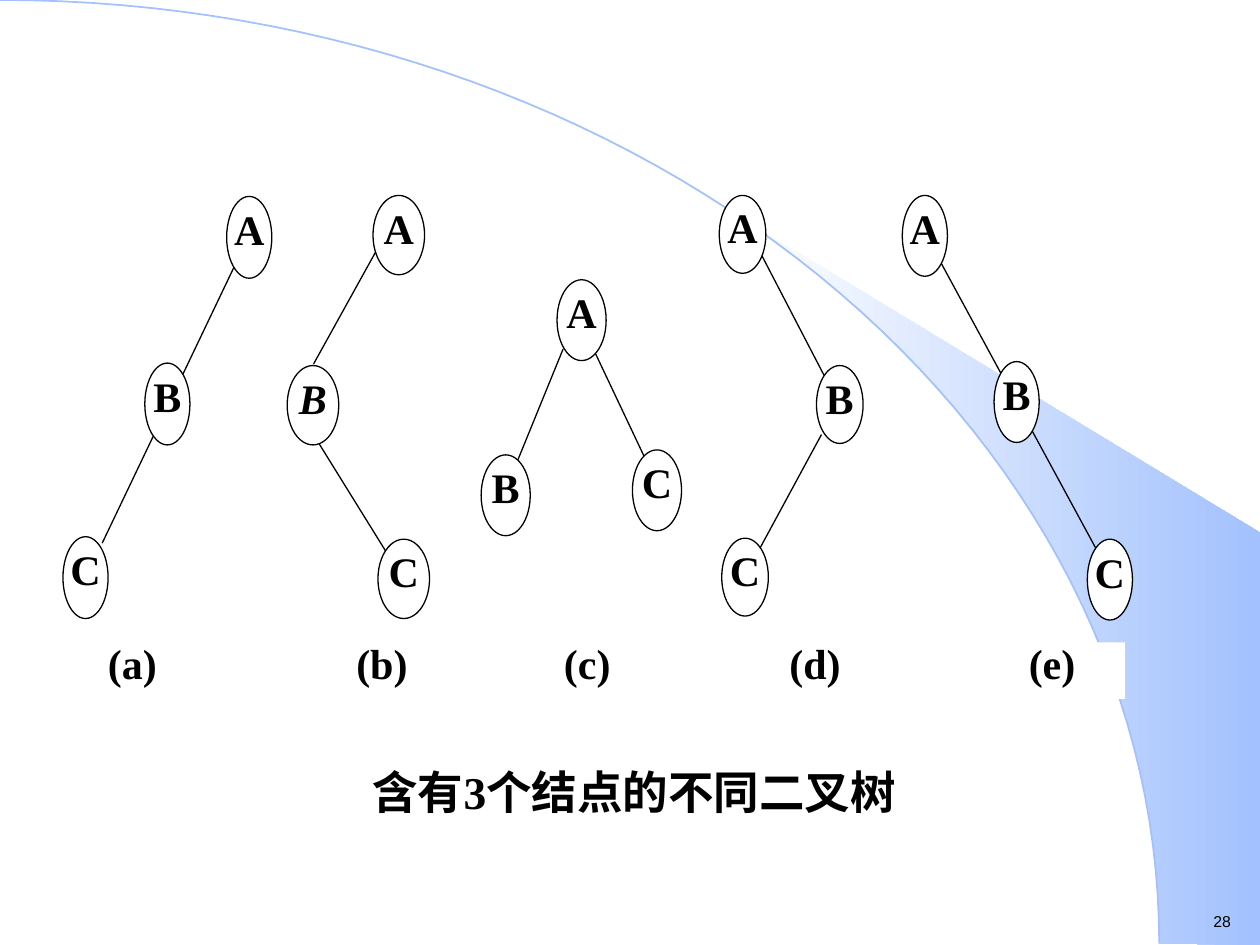
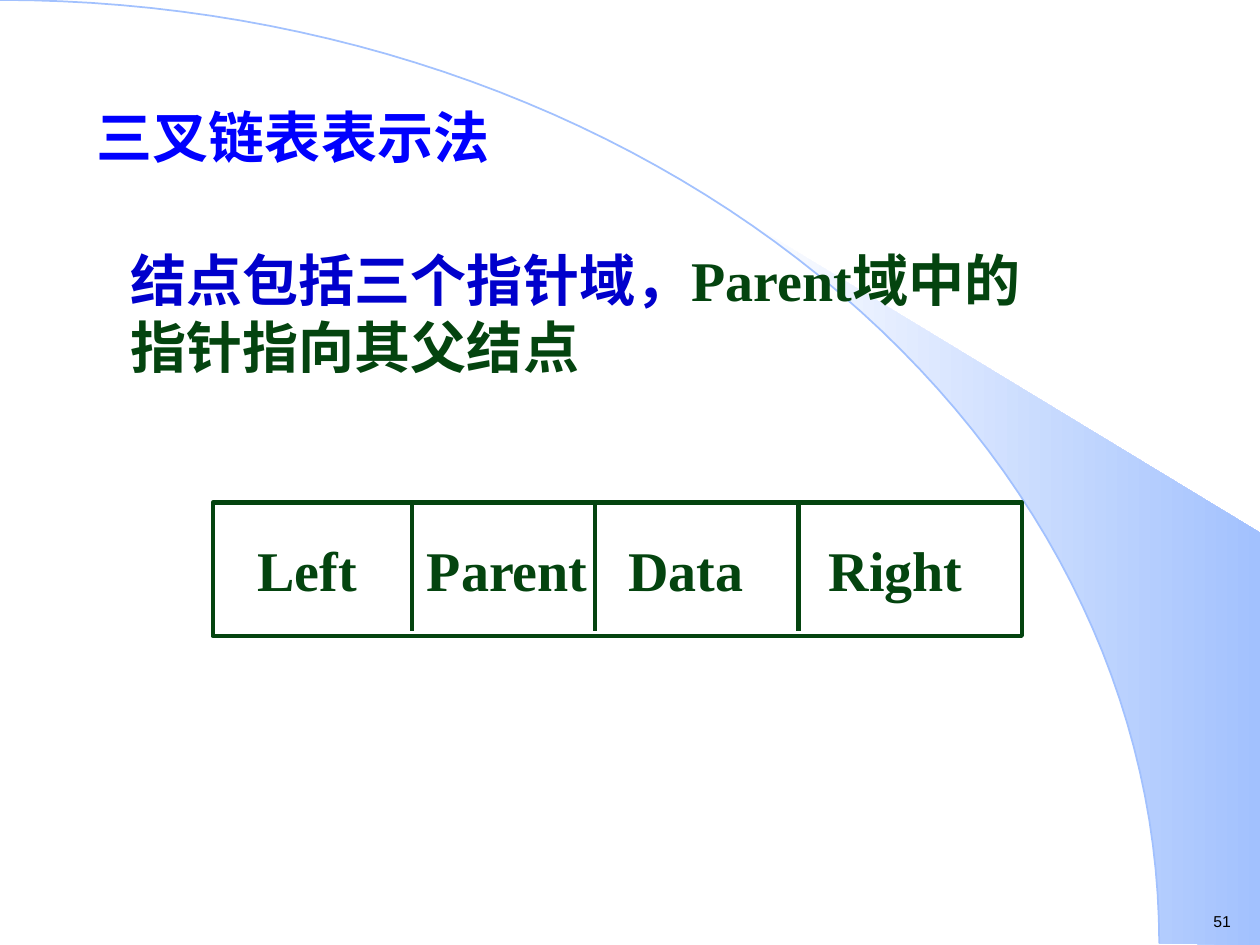
from math import asin, cos, pi, sin

from lxml import etree
from pptx import Presentation
from pptx.dml.color import RGBColor
from pptx.enum import shapes, text
from pptx.oxml import ns
from pptx.util import Cm, Pt

COLORS = {
    "ink": "000000",
    "paper": "FFFFFF",
    "sky": "A2C1FE",
    "title": "0000FF",
    "blue": "0000CC",
    "green": "04440F",
}
SERIF, SANS = "Times New Roman", "Arial"
WIDTH, HEIGHT = 25.4, 19.05
ARC_WIDTH, ARC_HEIGHT = 23.37, 19.02
FIN_TIP = 14.96
TITLE_ONLY, BLANK = 5, 6

# Node size, node corners by letter, and edge end points, in centimetres
TREES = [
    ((0.91, 1.65), {"A": (4.57, 3.96), "B": (2.92, 7.32), "C": (1.27, 10.82)},
     [(2.06, 10.95, 4.72, 5.38)]),
    ((1.04, 1.6), {"A": (7.52, 3.94), "B": (5.79, 7.37), "C": (7.62, 10.87)},
     [(7.7, 4.85, 6.32, 7.34), (6.38, 8.86, 7.8, 11.15)]),
    ((0.99, 1.63), {"A": (11.23, 5.64), "B": (9.7, 9.17), "C": (12.75, 9.07)},
     [(11.35, 7.04, 10.44, 9.27), (12.01, 7.14, 12.98, 9.19)]),
    ((0.94, 1.57), {"A": (14.5, 3.94), "B": (16.46, 7.37), "C": (14.55, 10.85)},
     [(15.32, 5.08, 16.64, 7.62), (16.56, 8.76, 15.32, 11.05)]),
    ((0.91, 1.63), {"A": (18.19, 3.94), "B": (20.04, 7.29), "C": (21.92, 10.87)},
     [(18.59, 4.6, 22.1, 11.07)]),
]
ITALIC_NODE = (1, "B")


def color(name):
    return RGBColor.from_string(COLORS[name])


def arc_points(start, steps=60):
    """Points of the quarter ellipse from angle start down to its right end."""
    angles = [start + (pi / 2 - start) * step / steps for step in range(steps + 1)]
    return [(Cm(ARC_WIDTH * sin(angle)), Cm(ARC_HEIGHT * (1 - cos(angle))))
            for angle in angles]


class Builder:
    def __init__(self):
        self.deck = Presentation()
        self.deck.slide_width, self.deck.slide_height = Cm(WIDTH), Cm(HEIGHT)
        self.page = None

    def new_page(self, layout, number):
        self.page = self.deck.slides.add_slide(self.deck.slide_layouts[layout])
        self.backdrop()
        box = self.text_box((24.21, 18.26, 0.89, 0.64), wrap=False)
        self.span(box.text_frame.paragraphs[0], str(number), 9, font=SANS, bold=False)

    def outline(self, points, close):
        builder = self.page.shapes.build_freeform(*points[0], scale=1.0)
        builder.add_line_segments(points[1:], close=close)
        shape = builder.convert_to_shape()
        shape.shadow.inherit = False
        return shape

    def backdrop(self):
        corners = [(Cm(WIDTH), Cm(HEIGHT)), (Cm(WIDTH), Cm(10.74))]
        fin = self.outline(corners + arc_points(asin(FIN_TIP / ARC_WIDTH)), True)
        fin.line.fill.background()
        fin.fill.gradient()
        fin.fill.gradient_angle = 0
        for stop, position, name in zip(fin.fill.gradient_stops, (0, 1), ("paper", "sky")):
            stop.position = position
            stop.color.rgb = color(name)
        arc = self.outline(arc_points(0), False)
        arc.fill.background()
        arc.line.color.rgb = color("sky")
        arc.line.width = Pt(1)

    def span(self, para, words, size, name="ink", font=SERIF, bold=True, italic=False):
        span = para.add_run()
        span.text = words
        span.font.name, span.font.size = font, Pt(size)
        span.font.bold, span.font.italic = bold, italic
        span.font.color.rgb = color(name)

    def text_box(self, area, wrap=True):
        box = self.page.shapes.add_textbox(*map(Cm, area))
        box.text_frame.word_wrap = wrap
        return box

    def title(self, words, area):
        box = self.page.shapes.title
        box.left, box.top, box.width, box.height = map(Cm, area)
        frame = box.text_frame
        frame.auto_size = text.MSO_AUTO_SIZE.NONE
        frame.vertical_anchor = text.MSO_ANCHOR.TOP
        para = frame.paragraphs[0]
        para.alignment = text.PP_ALIGN.LEFT
        self.span(para, words, 32, "title")

    def line(self, ends, name="ink", width=0.75):
        line = self.page.shapes.add_connector(shapes.MSO_CONNECTOR.STRAIGHT, *map(Cm, ends))
        line.line.color.rgb = color(name)
        line.line.width = Pt(width)
        etree.SubElement(line._element.spPr, ns.qn("a:effectLst"))

    def panel(self, area, kind=shapes.MSO_SHAPE.RECTANGLE, line=None, width=0.75, top=0.1):
        """White shape without side margins; returns its first paragraph."""
        shape = self.page.shapes.add_shape(kind, *map(Cm, area))
        shape.shadow.inherit = False
        shape.fill.solid()
        shape.fill.fore_color.rgb = color("paper")
        if line:
            shape.line.color.rgb = color(line)
            shape.line.width = Pt(width)
        else:
            shape.line.fill.background()
        frame = shape.text_frame
        frame.margin_left = frame.margin_right = frame.margin_bottom = 0
        frame.margin_top = Cm(top)
        frame.word_wrap = False
        frame.vertical_anchor = text.MSO_ANCHOR.TOP if top else text.MSO_ANCHOR.MIDDLE
        para = frame.paragraphs[0]
        para.alignment = text.PP_ALIGN.CENTER
        if top:
            para.line_spacing = 0.8
        return para

    def tabbed(self, area, labels, centres, size, name="ink", **style):
        """Panel whose labels are centred on tab stops."""
        para = self.panel(area, **style)
        para.alignment = text.PP_ALIGN.LEFT
        para._p.getparent().bodyPr.set("wrap", "square")
        stops = etree.SubElement(para._p.get_or_add_pPr(), ns.qn("a:tabLst"))
        for centre in centres:
            etree.SubElement(stops, ns.qn("a:tab"), pos=str(Cm(centre)), algn="ctr")
        for label in labels:
            self.span(para, "\t" + label, size, name)

    def tree(self, index, size, nodes, edges):
        for ends in edges:
            self.line(ends)
        for letter, corner in nodes.items():
            para = self.panel(corner + size, shapes.MSO_SHAPE.OVAL, "ink")
            self.span(para, letter, 24, italic=(index, letter) == ITALIC_NODE)


def binary_trees(builder):
    builder.new_page(BLANK, 28)
    builder.tabbed((0.89, 12.95, 21.79, 1.14), [f"({letter})" for letter in "abcde"],
                   (1.78, 6.81, 10.95, 15.54, 20.32), 24)
    for index, tree in enumerate(TREES):
        builder.tree(index, *tree)
    caption = builder.panel((6.3, 15.52, 12.98, 1.3))
    builder.span(caption, "含有3个结点的不同二叉树", 26)


def linked_node(builder):
    builder.new_page(TITLE_ONLY, 51)
    builder.title("三叉链表表示法", (1.7, 1.93, 19.74, 1.7))
    left, top, width, height = 4.29, 10.13, 16.31, 2.69
    builder.tabbed((left, top, width, height), ("Left", "Parent", "Data", "Right"),
                   (1.9, 5.94, 9.54, 13.77), 32, "green", line="green", width=2.5, top=0)
    for x in (8.31, 11.99, 16.1):
        builder.line((x, top, x, top + 2.6), "green", 2.5)
    para = builder.text_box((2.39, 4.83, 18.69, 2.97)).text_frame.paragraphs[0]
    builder.span(para, "结点包括三个指针域，", 32, "blue")
    builder.span(para, "Parent域中的指针指向其父结点", 32, "green")


def main():
    builder = Builder()
    binary_trees(builder)
    linked_node(builder)
    builder.deck.save("out.pptx")


if __name__ == "__main__":
    main()
